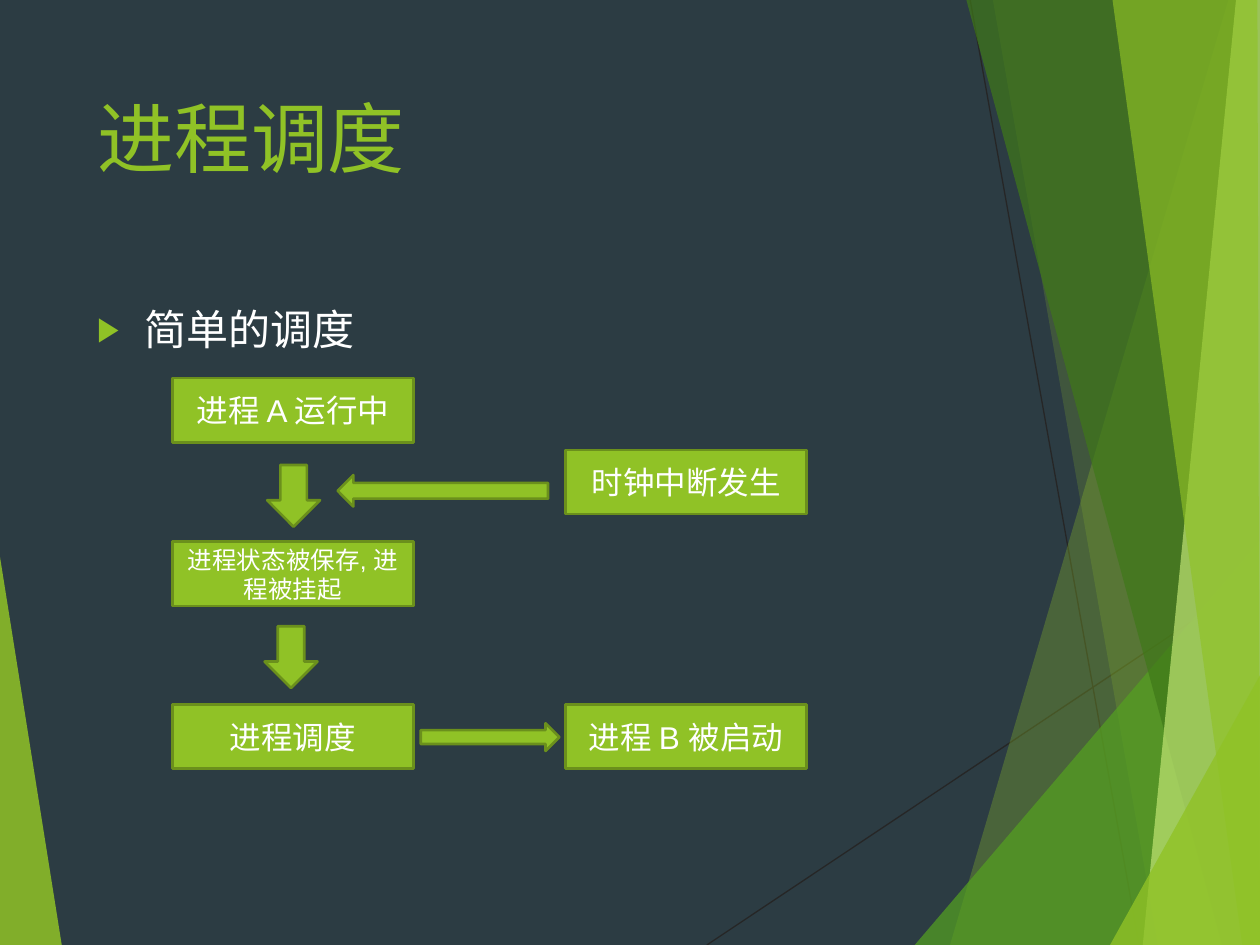
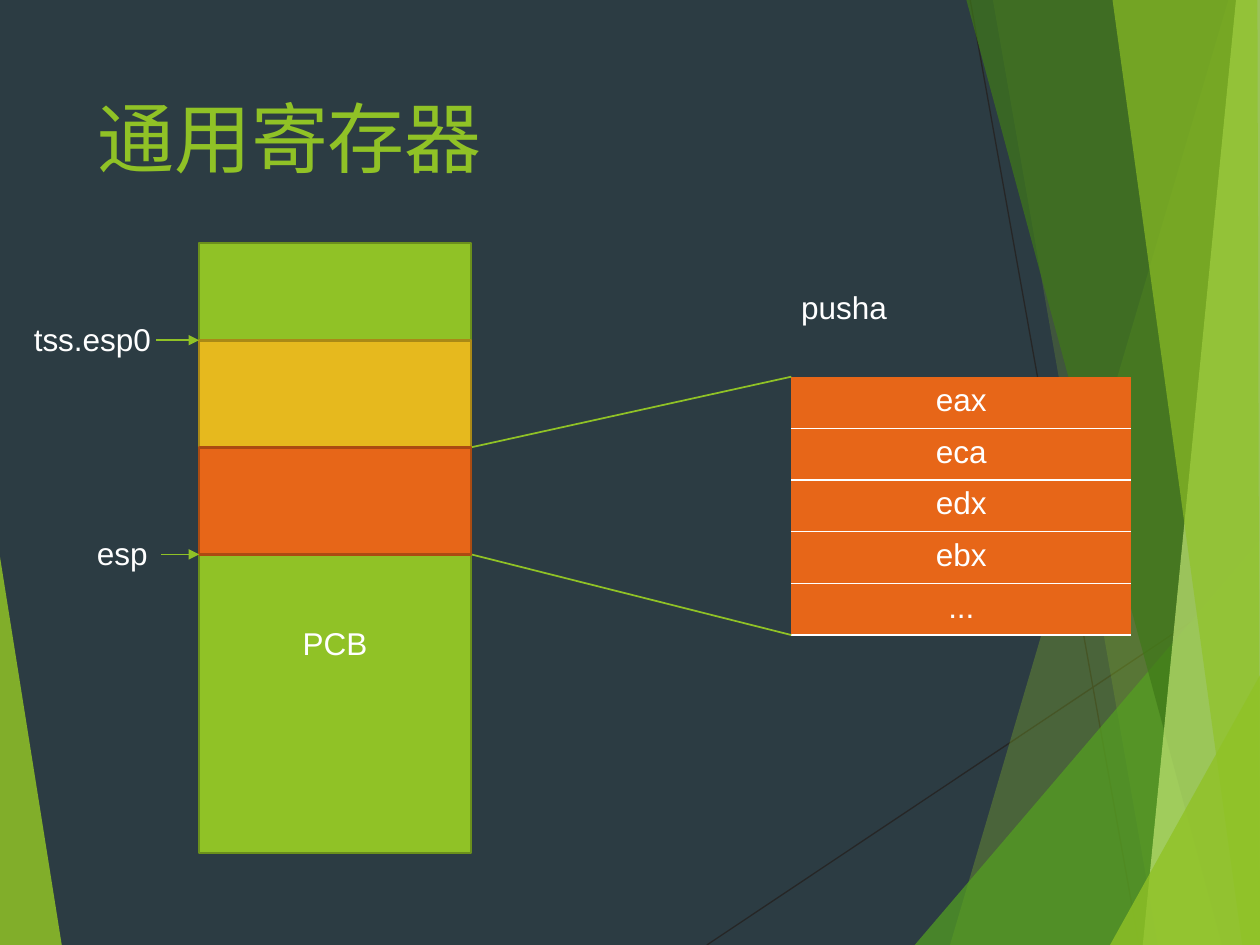
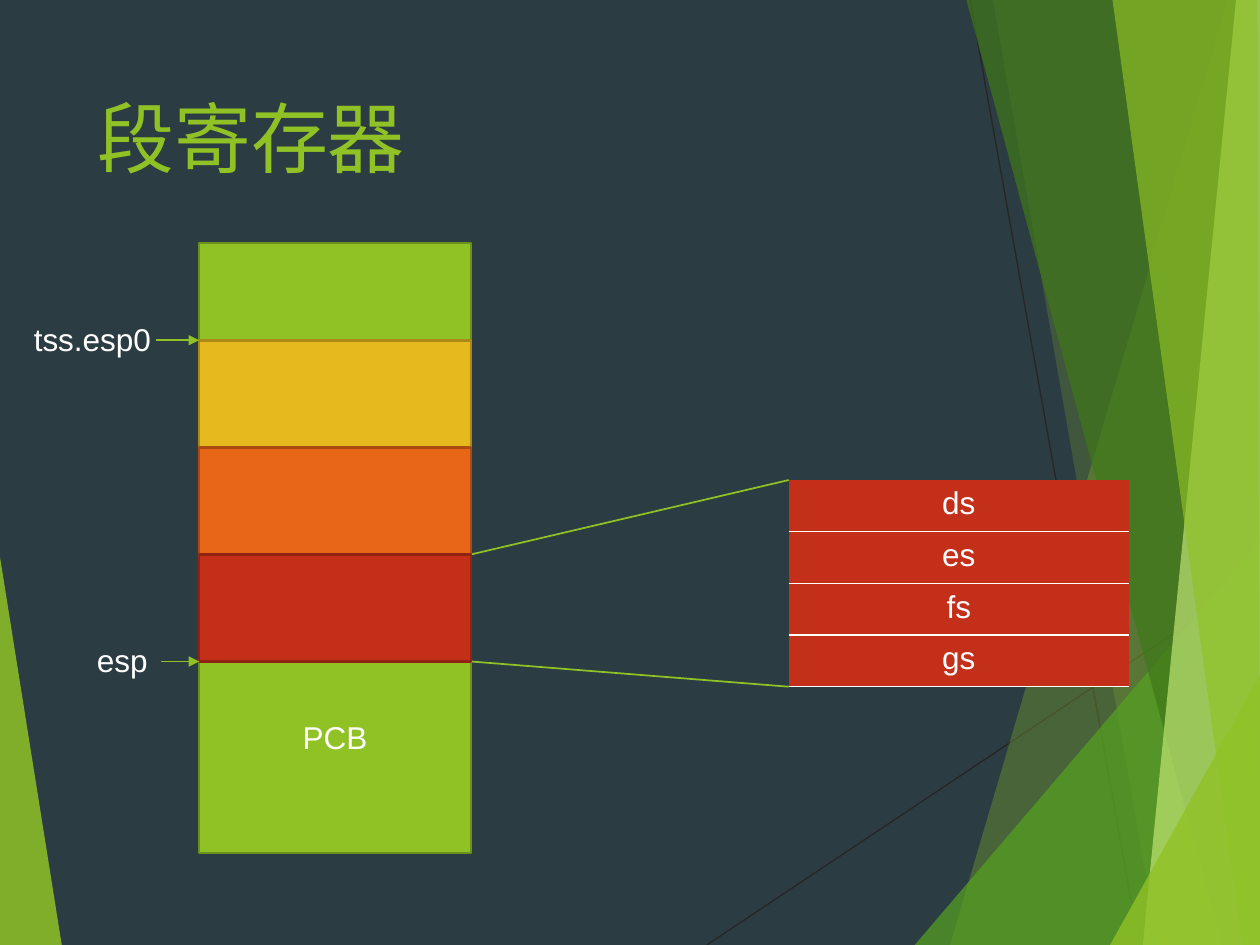
from dataclasses import dataclass

from lxml import etree
from pptx import Presentation
from pptx import util as u
from pptx.dml import color
from pptx.enum import shapes, text
from pptx.oxml import ns


@dataclass(frozen=True)
class Theme:
    font: str = "Arial"
    background: str = "2C3C43"
    white: str = "FFFFFF"
    hairline: str = "262626"
    green: str = "90C226"
    green_edge: str = "6B901C"
    leaf: str = "54A021"
    forest: str = "3F7819"
    lime: str = "C0E474"
    yellow: str = "E6B91E"
    yellow_edge: str = "AA8916"
    orange: str = "E76618"
    orange_edge: str = "AB4B12"
    red: str = "C42F1A"
    red_edge: str = "912313"
    title_size: int = 44
    body_size: int = 24
    label_size: int = 18
    small_size: int = 14


THEME = Theme()
WIDTH, HEIGHT = 10, 7.5

RAYS = [((5.61, HEIGHT), (WIDTH, 4.57)), ((7.7, 0), (9.04, HEIGHT))]
FACETS = [
    (THEME.green, 85, [(0, 4.42), (0.49, HEIGHT), (0, HEIGHT)]),
    (THEME.green, 30, [(9.75, 0), (7.54, HEIGHT), (WIDTH, HEIGHT), (WIDTH, 0)]),
    (THEME.green, 20, [(7.88, 0), (9.19, HEIGHT), (WIDTH, HEIGHT), (WIDTH, 0)]),
    (THEME.leaf, 72, [(7.26, HEIGHT), (WIDTH, 4.29), (WIDTH, HEIGHT)]),
    (THEME.forest, 70, [(7.67, 0), (9.7, HEIGHT), (WIDTH, HEIGHT), (WIDTH, 0)]),
    (THEME.lime, 70, [(9.81, 0), (9.07, HEIGHT), (WIDTH, HEIGHT), (WIDTH, 0)]),
    (THEME.green, 65, [(8.83, 0), (9.86, HEIGHT), (WIDTH, HEIGHT), (9.98, 0)]),
    (THEME.green, 80, [(8.81, HEIGHT), (WIDTH, 5.36), (WIDTH, HEIGHT)]),
]

SCHEDULING = {
    "title": "进程调度",
    "bullet": "简单的调度",
    "steps": [
        ("进程 A 运行中", 1.37, 3.0, THEME.label_size),
        ("进程状态被保存, 进程被挂起", 1.37, 4.3, THEME.small_size),
        ("进程调度", 1.37, 5.59, THEME.label_size),
        ("进程 B 被启动", 4.49, 5.59, THEME.label_size),
        ("时钟中断发生", 4.49, 3.57, THEME.label_size),
    ],
    "arrows": [
        (shapes.MSO_SHAPE.DOWN_ARROW, (2.12, 3.69, 0.42, 0.49)),
        (shapes.MSO_SHAPE.DOWN_ARROW, (2.1, 4.97, 0.42, 0.49)),
        (shapes.MSO_SHAPE.LEFT_ARROW, (2.68, 3.77, 1.67, 0.25)),
        (shapes.MSO_SHAPE.RIGHT_ARROW, (3.34, 5.74, 1.1, 0.22)),
    ],
}
STEP_SIZE = (1.91, 0.51)

FRAMES = [
    (THEME.yellow, THEME.yellow_edge),
    (THEME.orange, THEME.orange_edge),
    (THEME.red, THEME.red_edge),
]
REGISTER_SLIDES = [
    {
        "title": "通用寄存器",
        "frame_count": 2,
        "registers": ["eax", "eca", "edx", "ebx", "..."],
        "table_at": (6.28, 2.99),
        "caption": ("pusha", (6.26, 2.24, 0.89, 0.4)),
    },
    {
        "title": "段寄存器",
        "frame_count": 3,
        "registers": ["ds", "es", "fs", "gs"],
        "table_at": (6.26, 3.81),
        "caption": None,
    },
]
STACK = (1.58, 1.93, 2.16, 4.84)
FIRST_FRAME_TOP, FRAME_HEIGHT = 2.7, 0.85
TABLE_WIDTH, ROW_HEIGHT = 2.7, 0.41
LABEL_HEIGHT = 0.4


def inches(values):
    return [u.Inches(value) for value in values]


def rgb(value):
    return color.RGBColor.from_string(value)


def add_xml(parent, tag, **attributes):
    return etree.SubElement(parent, ns.qn(tag), attributes)


def write(text_frame, content, size, ink=THEME.white, align=None):
    text_frame.text = content
    paragraph = text_frame.paragraphs[0]
    paragraph.alignment = align
    font = paragraph.runs[0].font
    font.name, font.size = THEME.font, u.Pt(size)
    font.color.rgb = rgb(ink)
    return paragraph


def add_block(slide, preset, box, fill=THEME.green, edge=THEME.green_edge):
    shape = slide.shapes.add_shape(preset, *inches(box))
    shape.shadow.inherit = False
    shape.fill.solid()
    shape.fill.fore_color.rgb = rgb(fill)
    shape.line.color.rgb = rgb(edge)
    shape.line.width = u.Pt(1.5)
    return shape


def add_line(owner, start, end, ink=THEME.green, width=1.0, arrow=False):
    connector = owner.shapes.add_connector(
        shapes.MSO_CONNECTOR.STRAIGHT, *inches(start + end))
    connector.line.color.rgb = rgb(ink)
    connector.line.width = u.Pt(width)
    properties = connector._element.spPr
    if arrow:
        add_xml(properties.find(ns.qn("a:ln")), "a:tailEnd", type="triangle")
    add_xml(properties, "a:effectLst")


def add_label(slide, content, box):
    label = slide.shapes.add_textbox(*inches(box))
    label.text_frame.word_wrap = False
    write(label.text_frame, content, THEME.label_size)


def fill_placeholder(placeholder, box, content, size, ink):
    placeholder.left, placeholder.top, placeholder.width, placeholder.height = inches(box)
    frame = placeholder.text_frame
    frame.auto_size = text.MSO_AUTO_SIZE.NONE
    frame.vertical_anchor = text.MSO_ANCHOR.TOP
    return write(frame, content, size, ink, text.PP_ALIGN.LEFT)


def add_slide(presentation, layout_index, title):
    slide = presentation.slides.add_slide(presentation.slide_layouts[layout_index])
    fill_placeholder(slide.shapes.title, (0.67, 0.67, 6.94, 1.44),
                     title, THEME.title_size, THEME.green)
    return slide


def decorate_master(presentation, slide):
    master = presentation.slide_master
    master.background.fill.solid()
    master.background.fill.fore_color.rgb = rgb(THEME.background)
    group = slide.shapes.add_group_shape()
    for start, end in RAYS:
        add_line(group, start, end, THEME.hairline, 0.75)
    for fill, opacity, points in FACETS:
        corners = [inches(point) for point in points]
        builder = group.shapes.build_freeform(*corners[0])
        builder.add_line_segments(corners[1:], close=True)
        facet = builder.convert_to_shape()
        facet.shadow.inherit = False
        facet.line.fill.background()
        facet.fill.solid()
        facet.fill.fore_color.rgb = rgb(fill)
        tint = facet._element.spPr.find(ns.qn("a:solidFill")).find(ns.qn("a:srgbClr"))
        add_xml(tint, "a:alpha", val=str(opacity * 1000))
    master.shapes._spTree.insert(2, group._element)


def add_bullet(slide, content):
    paragraph = fill_placeholder(slide.placeholders[1], (0.67, 2.36, 6.94, 4.24),
                                 content, THEME.body_size, THEME.white)
    paragraph.space_before = u.Pt(10)
    properties = paragraph._p.get_or_add_pPr()
    indent = u.Inches(0.38)
    properties.set("marL", str(indent))
    properties.set("indent", str(-indent))
    add_xml(add_xml(properties, "a:buClr"), "a:srgbClr", val=THEME.green)
    add_xml(properties, "a:buSzPct", val="80000")
    add_xml(properties, "a:buFont", typeface=THEME.font)
    add_xml(properties, "a:buChar", char="▶")


def build_scheduling(presentation):
    slide = add_slide(presentation, 1, SCHEDULING["title"])
    decorate_master(presentation, slide)
    add_bullet(slide, SCHEDULING["bullet"])
    for content, left, top, size in SCHEDULING["steps"]:
        step = add_block(slide, shapes.MSO_SHAPE.RECTANGLE, (left, top) + STEP_SIZE)
        write(step.text_frame, content, size, align=text.PP_ALIGN.CENTER)
    for preset, box in SCHEDULING["arrows"]:
        add_block(slide, preset, box)


def set_border(cell, side, ink=None):
    line = add_xml(cell._tc.get_or_add_tcPr(), f"a:ln{side}", w=str(u.Pt(1)))
    if ink:
        add_xml(add_xml(line, "a:solidFill"), "a:srgbClr", val=ink)
    else:
        add_xml(line, "a:noFill")


def add_register_table(slide, registers, left, top, fill):
    table = slide.shapes.add_table(
        len(registers), 1,
        *inches((left, top, TABLE_WIDTH, ROW_HEIGHT * len(registers)))).table
    table.first_row = table.horz_banding = False
    for index, register in enumerate(registers):
        table.rows[index].height = u.Inches(ROW_HEIGHT)
        cell = table.cell(index, 0)
        set_border(cell, "L")
        set_border(cell, "R")
        set_border(cell, "T", THEME.white if index else None)
        set_border(cell, "B", THEME.white)
        cell.fill.solid()
        cell.fill.fore_color.rgb = rgb(fill)
        write(cell.text_frame, register, THEME.label_size, align=text.PP_ALIGN.CENTER)


def build_registers(presentation, content):
    slide = add_slide(presentation, 5, content["title"])
    count, registers = content["frame_count"], content["registers"]
    stack_left, _, stack_width, _ = STACK
    stack_right = stack_left + stack_width
    edges = [FIRST_FRAME_TOP + FRAME_HEIGHT * index for index in range(count + 1)]
    table_left, table_top = content["table_at"]
    table_bottom = table_top + ROW_HEIGHT * len(registers)

    add_register_table(slide, registers, table_left, table_top, FRAMES[count - 1][0])
    stack = add_block(slide, shapes.MSO_SHAPE.RECTANGLE, STACK)
    stack.text_frame.margin_top = u.Inches(0.05 + 1.5 * (count - 1))
    write(stack.text_frame, "PCB", THEME.label_size, align=text.PP_ALIGN.CENTER)

    for edge, table_edge in zip(edges[-2:], (table_top, table_bottom)):
        add_line(slide, (stack_right, edge), (table_left, table_edge))
    for top, (fill, edge) in zip(edges, FRAMES[:count]):
        add_block(slide, shapes.MSO_SHAPE.RECTANGLE,
                  (stack_left, top, stack_width, FRAME_HEIGHT), fill, edge)

    pointers = [("tss.esp0", edges[0], 0.17, 1.14, 1.24),
                ("esp", edges[-1], 0.67, 0.61, 1.28)]
    for name, edge, left, width, arrow_left in pointers:
        add_label(slide, name, (left, edge - 0.21, width, LABEL_HEIGHT))
        add_line(slide, (arrow_left, edge), (stack_left, edge), arrow=True)
    if content["caption"]:
        add_label(slide, *content["caption"])


def main():
    presentation = Presentation()
    presentation.slide_width, presentation.slide_height = inches((WIDTH, HEIGHT))
    build_scheduling(presentation)
    for content in REGISTER_SLIDES:
        build_registers(presentation, content)
    presentation.save("out.pptx")


if __name__ == "__main__":
    main()
